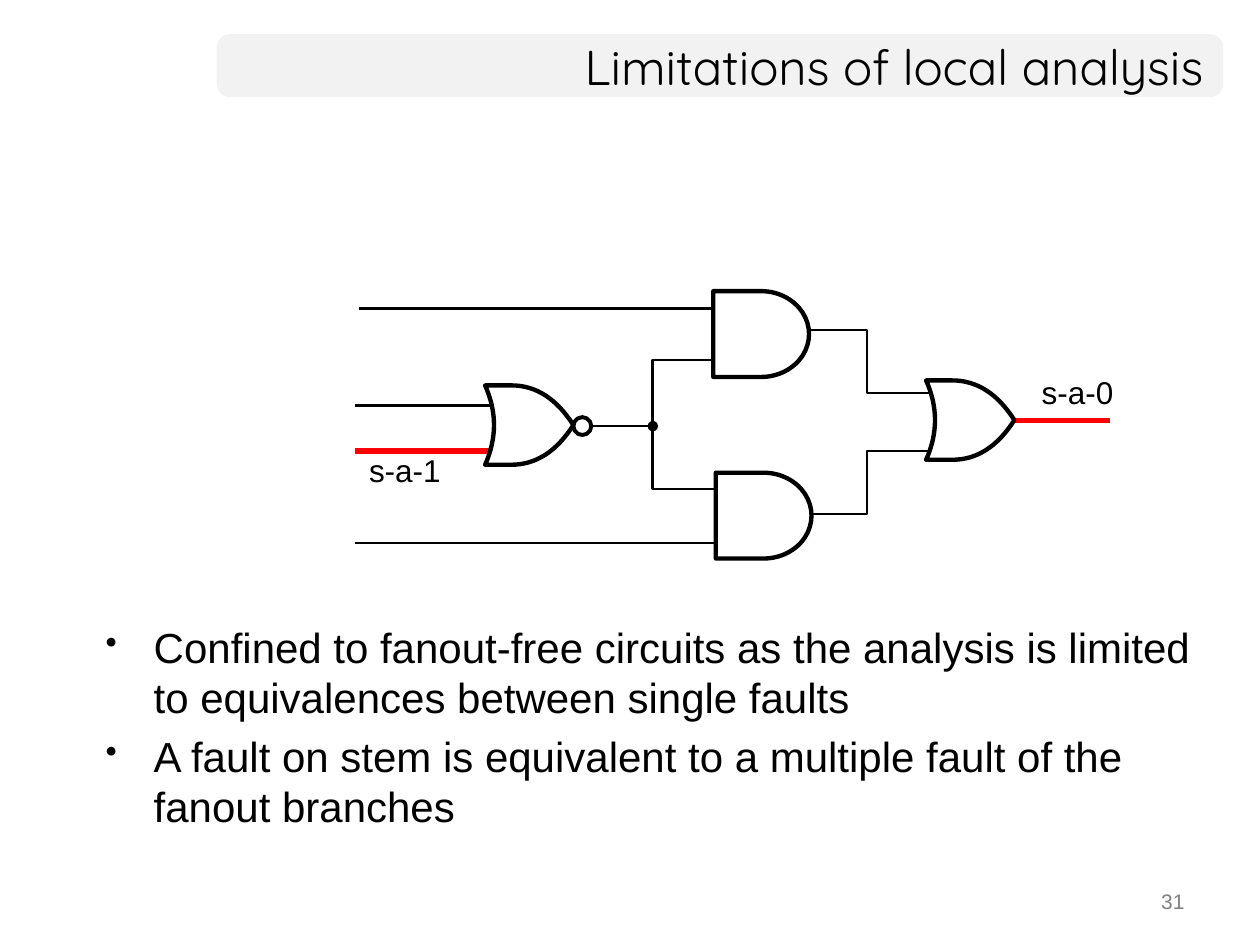
from lxml.etree import SubElement
from pptx import Presentation
from pptx.dml.color import RGBColor
from pptx.enum.shapes import MSO_CONNECTOR, MSO_SHAPE
from pptx.enum.text import MSO_ANCHOR, PP_ALIGN
from pptx.oxml.ns import qn
from pptx.util import Cm, Pt

# Content (positions in centimetres)
TITLE = "Limitations of local analysis"
PAGE_NUMBER = "31"
BULLETS = [
    "Confined to fanout-free circuits as the analysis is limited "
    "to equivalences between single faults",
    "A fault on stem is equivalent to a multiple fault of the fanout branches",
]
BENT_WIRES = [
    [(14.86, 7.26), (13.16, 7.26), (13.16, 9.86), (15.01, 9.86)],
    [(15.95, 10.36), (17.48, 10.36), (17.48, 9.09), (19.56, 9.09)],
    [(15.95, 6.65), (17.48, 6.65), (17.48, 7.92), (19.56, 7.92)],
]
# right end, left end, y, style
STRAIGHT_WIRES = [
    (22.38, 19.96, 8.48, "fault"),
    (14.66, 7.16, 10.95, "wire"),
    (14.76, 7.24, 6.22, "wire"),
    (13.16, 10.36, 8.59, "stem"),
    (10.19, 7.16, 8.18, "wire"),
    (10.19, 7.16, 9.09, "fault"),
]
AND_GATES = [(14.38, 5.87), (14.43, 9.53)]
OR_GATES = [(18.67, 7.67), (9.78, 7.77)]
FAULT_LABELS = [("s-a-1", 7.19, 8.97), ("s-a-0", 20.75, 7.39)]


class Theme:
    black = RGBColor(0, 0, 0)
    white = RGBColor(255, 255, 255)
    red = RGBColor(255, 0, 0)
    bar = RGBColor(0xF2, 0xF2, 0xF2)
    grey = RGBColor(0x80, 0x80, 0x80)
    heading, text = "Quicksand", "Arial"
    title_size, body_size, label_size, number_size = Pt(28), Pt(24), Pt(18), Pt(12)
    wire, fault, gate, bubble = Pt(1.5), Pt(3), Pt(2.5), Pt(2.25)


deck = Presentation()
deck.slide_width, deck.slide_height = Cm(25.4), Cm(19.05)
page = deck.slides.add_slide(deck.slide_layouts[5])
shapes = page.shapes


def set_font(para, size, color=Theme.black, name=Theme.text):
    para.font.name, para.font.size = name, size
    para.font.color.rgb = color


def add_text(text, left, top, width, height, size, color=Theme.black, wrap=True):
    box = shapes.add_textbox(Cm(left), Cm(top), Cm(width), Cm(height))
    box.text_frame.word_wrap = wrap
    box.text_frame.text = text
    for para in box.text_frame.paragraphs:
        set_font(para, size, color)
    return box.text_frame


def outline(shape, width, fill=Theme.white):
    shape.shadow.inherit = False
    if fill is None:
        shape.fill.background()
    else:
        shape.fill.solid()
        shape.fill.fore_color.rgb = fill
    shape.line.color.rgb = Theme.black
    shape.line.width = width


def add_path(points, width, fill=None, close=False):
    points = [(Cm(x), Cm(y)) for x, y in points]
    builder = shapes.build_freeform(*points[0])
    builder.add_line_segments(points[1:], close=close)
    outline(builder.convert_to_shape(), width, fill)


def add_preset(kind, left, top, width, height, line_width):
    shape = shapes.add_shape(kind, Cm(left), Cm(top), Cm(width), Cm(height))
    outline(shape, line_width)


def curve(start, control, end, steps=16):
    """Points on a quadratic curve, both ends included."""
    return [
        tuple((1 - t) ** 2 * a + 2 * t * (1 - t) * b + t * t * c
              for a, b, c in zip(start, control, end))
        for t in (step / steps for step in range(steps + 1))
    ]


def or_outline(left, top, width=1.78, height=1.6, flat=0.53, shoulder=1.27, hollow=0.36):
    tip = (width, height / 2)
    points = [(0, 0)]
    points += curve((flat, 0), (shoulder, 0), tip)
    points += curve(tip, (shoulder, height), (flat, height))[1:]
    points += curve((0, height), (hollow, height / 2), (0, 0))[:-1]
    return [(left + x, top + y) for x, y in points]


# Title on its rounded bar
title = shapes.title
title.left, title.top, title.width, title.height = Cm(4.37), Cm(0.69), Cm(20.14), Cm(1.27)
title.text_frame.text = TITLE
title.text_frame.vertical_anchor = MSO_ANCHOR.MIDDLE
heading = title.text_frame.paragraphs[0]
heading.alignment = PP_ALIGN.RIGHT
set_font(heading, Theme.title_size, name=Theme.heading)

bar = shapes.add_shape(MSO_SHAPE.ROUNDED_RECTANGLE, Cm(4.37), Cm(0.69), Cm(20.29), Cm(1.27))
bar.adjustments[0] = 0.21
bar.shadow.inherit = False
bar.fill.solid()
bar.fill.fore_color.rgb = Theme.bar
bar.line.fill.background()
title.element.addprevious(bar.element)

# Bulleted text
body = add_text("\n".join(BULLETS), 1.88, 12.4, 22.86, 4.6, Theme.body_size)
for index, para in enumerate(body.paragraphs):
    properties = para._p.get_or_add_pPr()
    properties.set("marL", str(Cm(0.97)))
    properties.set("indent", str(-Cm(0.97)))
    size = SubElement(properties, qn("a:buSzPct"), val="80000")
    bullet = SubElement(properties, qn("a:buChar"), char="•")
    font = properties.find(qn("a:defRPr"))
    size.addnext(bullet)
    if font is not None:
        bullet.addnext(font)
    if index:
        para.space_before = Pt(4.8)

# Wires
for points in BENT_WIRES:
    add_path(points, Theme.wire)
for right, left, y, style in STRAIGHT_WIRES:
    wire = shapes.add_connector(MSO_CONNECTOR.STRAIGHT, Cm(right), Cm(y), Cm(left), Cm(y))
    faulty = style == "fault"
    wire.line.color.rgb = Theme.red if faulty else Theme.black
    wire.line.width = Theme.fault if faulty else Theme.wire
    if style == "stem":
        SubElement(wire.get_or_add_ln(), qn("a:headEnd"), type="oval")
    SubElement(wire.element.spPr, qn("a:effectLst"))

# Gates and the inverting bubble
for left, top in AND_GATES:
    add_preset(MSO_SHAPE.FLOWCHART_DELAY, left, top, 1.93, 1.73, Theme.gate)
add_preset(MSO_SHAPE.FLOWCHART_CONNECTOR, 11.56, 8.41, 0.36, 0.36, Theme.bubble)
for left, top in OR_GATES:
    add_path(or_outline(left, top), Theme.gate, Theme.white, close=True)

# Fault labels and page number
for text, left, top in FAULT_LABELS:
    add_text(text, left, top, 1.98, 1.02, Theme.label_size, wrap=False)
number = add_text(PAGE_NUMBER, 18.21, 17.78, 5.92, 0.89, Theme.number_size, Theme.grey)
number.paragraphs[0].alignment = PP_ALIGN.RIGHT

deck.save("out.pptx")
